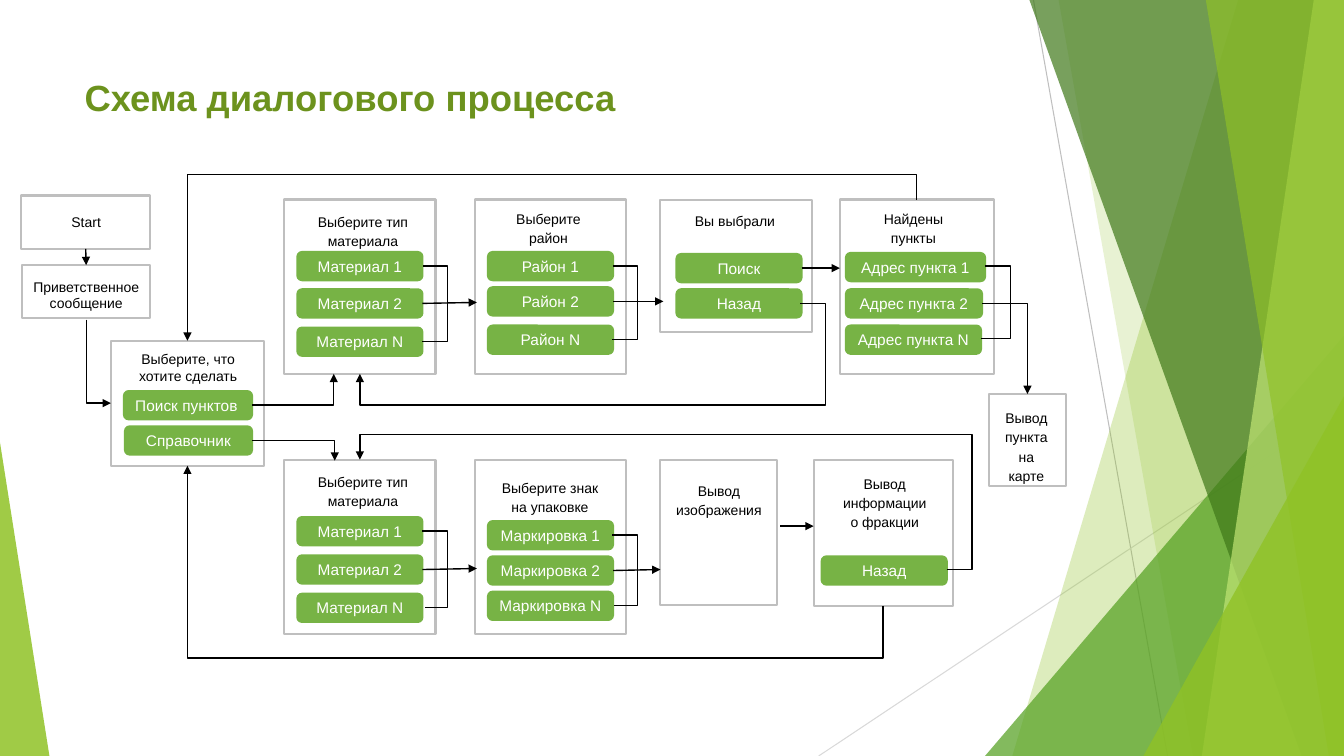
from dataclasses import dataclass

from lxml import etree
from pptx import Presentation
from pptx.dml.color import RGBColor
from pptx.enum.shapes import MSO_CONNECTOR, MSO_SHAPE
from pptx.enum.text import MSO_ANCHOR, PP_ALIGN
from pptx.oxml.ns import qn
from pptx.util import Inches, Pt

RECTANGLE, PILL = MSO_SHAPE.RECTANGLE, MSO_SHAPE.ROUNDED_RECTANGLE
TRIANGLE = MSO_SHAPE.ISOSCELES_TRIANGLE
STRAIGHT, ELBOW = MSO_CONNECTOR.STRAIGHT, MSO_CONNECTOR.ELBOW
LEFT, CENTER, MIDDLE = PP_ALIGN.LEFT, PP_ALIGN.CENTER, MSO_ANCHOR.MIDDLE
TOP_SIDE, BOTTOM_SIDE, RIGHT_SIDE = 0, 2, 3

BLACK = RGBColor(0x00, 0x00, 0x00)
WHITE = RGBColor(0xFF, 0xFF, 0xFF)
GRAY = RGBColor(0xBF, 0xBF, 0xBF)
PALE_GRAY = RGBColor(0xD9, 0xD9, 0xD9)
BUTTON_GREEN = RGBColor(0x77, 0xB3, 0x45)
TITLE_GREEN = RGBColor(0x6C, 0x92, 0x1D)
LIME = RGBColor(0x90, 0xC2, 0x26)
LEAF = RGBColor(0x54, 0xA0, 0x21)
FOREST = RGBColor(0x3F, 0x78, 0x19)
LIGHT_LIME = RGBColor(0xC0, 0xE4, 0x74)

FONT = "Arial"
WIDTH, HEIGHT = 13.33, 7.5
BUTTON_HEIGHT = 0.28
Point = tuple[float, float]
Box = tuple[float, float, float, float]


@dataclass(frozen=True)
class Band:
    """A slanted stripe that runs to the right edge of the slide."""
    top: float
    bottom: float
    color: RGBColor
    opacity: int


@dataclass(frozen=True)
class Corner:
    box: Box
    apex: float
    color: RGBColor
    opacity: int


@dataclass(frozen=True)
class Button:
    label: str
    left: float
    top: float
    width: float = 1.24


@dataclass(frozen=True)
class Step:
    """A framed dialog step; the caption has its own place inside the frame."""
    name: str
    frame: Box
    caption: str
    caption_box: Box
    buttons: tuple[Button, ...] = ()
    line_spacing: float = 1.15


@dataclass(frozen=True)
class Route:
    points: tuple[Point, ...]
    arrow: bool = True


def column(left: float, tops: tuple[float, ...], labels: tuple[str, ...]) -> tuple[Button, ...]:
    return tuple(Button(label, left, top) for label, top in zip(labels, tops))


MATERIALS = ("Материал 1", "Материал 2", "Материал N")

BACK_DECOR = (
    Band(12.28, 10.04, LIME, 30),
    Band(10.5, 11.83, LIME, 20),
    Corner((9.77, 3.33, 3.56, 4.17), 1, LEAF, 72),
    Band(10.21, 12.91, FOREST, 70),
    Band(13.03, 11.92, LIGHT_LIME, 70),
    Band(11.96, 13.18, LIME, 65),
    Corner((11.34, 3.93, 1.99, 3.57), 1, LIME, 80),
    Corner((0, 4.39, 0.49, 3.11), 0, LIME, 85),
)

STEPS = (
    Step("start", (0.21, 1.94, 1.28, 0.53), "Start", (0.22, 2.07, 1.27, 0.33), (), 1),
    Step("greeting", (0.22, 2.63, 1.27, 0.53), "Приветственное сообщение",
         (0.22, 2.71, 1.27, 0.45), (), 1),
    Step("menu", (1.1, 3.38, 1.52, 1.24), "Выберите, что хотите сделать", (1.22, 3.43, 1.29, 0.45),
         (Button("Поиск пунктов", 1.23, 3.88, 1.27), Button("Справочник", 1.24, 4.23, 1.26)), 1),
    Step("search material", (2.82, 1.98, 1.5, 1.73), "Выберите тип материала",
         (3.02, 2.04, 1.16, 0.45), column(2.95, (2.5, 2.87, 3.25), MATERIALS)),
    Step("district", (4.71, 1.98, 1.5, 1.73), "Выберите район", (4.86, 2.01, 1.16, 0.45),
         column(4.84, (2.5, 2.85, 3.23), ("Район 1", "Район 2", "Район N"))),
    Step("choice", (6.55, 1.98, 1.5, 1.31), "Вы выбрали", (6.71, 2.03, 1.16, 0.35),
         column(6.71, (2.52, 2.87), ("Поиск", "Назад"))),
    Step("found", (8.33, 1.98, 1.53, 1.73), "Найдены пункты", (8.48, 2.01, 1.16, 0.46),
         (Button("Адрес пункта 1", 8.39, 2.51, 1.38), Button("Адрес пункта 2", 8.39, 2.87, 1.35),
          Button("Адрес пункта N", 8.39, 3.23, 1.34))),
    Step("map", (9.81, 3.91, 0.76, 0.91), "Вывод\vпункта\vна\vкарте", (9.8, 3.99, 0.76, 0.66)),
    Step("guide material", (2.82, 4.56, 1.5, 1.73), "Выберите тип материала",
         (3.02, 4.62, 1.16, 0.45), column(2.95, (5.13, 5.51, 5.89), MATERIALS)),
    Step("marking", (4.71, 4.56, 1.5, 1.73), "Выберите знак на упаковке", (4.81, 4.68, 1.29, 0.48),
         column(4.84, (5.17, 5.52, 5.87), ("Маркировка 1", "Маркировка 2", "Маркировка N"))),
    Step("image", (6.55, 4.56, 1.16, 1.44), "Вывод изображения", (6.6, 4.71, 1.06, 0.48)),
    Step("fraction", (8.07, 4.56, 1.38, 1.45), "Вывод информации о фракции",
         (8.21, 4.64, 1.13, 0.65), (Button("Назад", 8.15, 5.52),)),
)

BUTTON_ARROWS = (
    ("search material", "Материал 2", (4.73, 3)),
    ("district", "Район 2", (6.58, 2.99)),
    ("choice", "Поиск", (8.33, 2.66)),
    ("guide material", "Материал 2", (4.73, 5.64)),
    ("marking", "Маркировка 2", (6.55, 5.65)),
)

ROUTES = (
    Route(((0.86, 3.17), (0.86, 4), (1.1, 4))),
    Route(((2.5, 4.02), (3.31, 4.02), (3.31, 3.71))),
    Route(((2.5, 4.37), (3.32, 4.37), (3.32, 4.57))),
    Route(((9.74, 3.01), (10.19, 3.01), (10.19, 3.91))),
    Route(((9.09, 1.98), (9.09, 1.73), (1.86, 1.73), (1.86, 3.38))),
    Route(((8.76, 6.01), (8.76, 6.53), (1.86, 6.53), (1.86, 4.62))),
    Route(((7.94, 3.01), (8.19, 3.01), (8.19, 4.02), (3.57, 4.02), (3.57, 3.71))),
    Route(((9.39, 5.65), (9.64, 5.65), (9.64, 4.31), (3.57, 4.31), (3.57, 4.56))),
    Route(((4.2, 2.64), (4.44, 2.64), (4.44, 3.39), (4.19, 3.39)), False),
    Route(((6.08, 2.64), (6.33, 2.64), (6.33, 3.37), (6.07, 3.37)), False),
    Route(((9.77, 2.64), (10.02, 2.64), (10.02, 3.36), (9.73, 3.36)), False),
    Route(((4.19, 5.27), (4.44, 5.27), (4.44, 6.03), (4.21, 6.03)), False),
    Route(((6.07, 5.31), (6.32, 5.31), (6.32, 6.01), (6.09, 6.01)), False),
)


def add_decor(slide, decor: Band | Corner) -> None:
    if isinstance(decor, Band):
        builder = slide.shapes.build_freeform(Inches(decor.top), 0)
        corners = ((WIDTH, 0), (WIDTH, HEIGHT), (decor.bottom, HEIGHT))
        builder.add_line_segments([(Inches(x), Inches(y)) for x, y in corners])
        shape = builder.convert_to_shape()
    else:
        shape = slide.shapes.add_shape(TRIANGLE, *map(Inches, decor.box))
        shape.adjustments[0] = decor.apex
    shape.shadow.inherit = False
    shape.line.fill.background()
    shape.fill.solid()
    shape.fill.fore_color.rgb = decor.color
    color = shape.element.spPr.find(qn("a:solidFill"))[0]
    etree.SubElement(color, qn("a:alpha"), val=str(decor.opacity * 1000))


def write(shape, text: str, size: float, color: RGBColor, align=CENTER, bold: bool = False):
    shape.text_frame.word_wrap = True
    paragraph = shape.text_frame.paragraphs[0]
    paragraph.text = text
    paragraph.alignment = align
    for run in paragraph.runs:
        run.font.name, run.font.size = FONT, Pt(size)
        run.font.color.rgb, run.font.bold = color, bold
    return paragraph


def add_outlined(slide, preset, box: Box, line_color: RGBColor):
    shape = slide.shapes.add_shape(preset, *map(Inches, box))
    shape.shadow.inherit = False
    shape.fill.background()
    shape.line.color.rgb = line_color
    shape.line.width = Pt(1.5)
    return shape


def add_button(slide, button: Button):
    shape = add_outlined(slide, PILL, (button.left, button.top, button.width, BUTTON_HEIGHT),
                         BUTTON_GREEN)
    shape.fill.solid()
    shape.fill.fore_color.rgb = BUTTON_GREEN
    shape.text_frame.vertical_anchor = MIDDLE
    write(shape, button.label, 11, WHITE, LEFT if button.label == "Поиск пунктов" else CENTER)
    return shape


def add_line(slide, kind, start: Point, end: Point, color: RGBColor = BLACK,
             width: float = 1, arrow: bool = True):
    line = slide.shapes.add_connector(kind, *map(Inches, (*start, *end)))
    line.line.color.rgb = color
    line.line.width = Pt(width)
    properties = line.element.spPr
    if arrow:
        etree.SubElement(properties.find(qn("a:ln")), qn("a:tailEnd"), type="triangle")
    etree.SubElement(properties, qn("a:effectLst"))
    return line


def add_route(slide, route: Route) -> None:
    """Draw a bent connector; one that leaves vertically is a turned horizontal one."""
    (x0, y0), first, *_, (x1, y1) = route.points
    dx, dy = x1 - x0, y1 - y0
    start, end, turn = (x0, y0), (x1, y1), 0
    ratios = [(first[0] - x0) / dx, (route.points[2][1] - y0) / dy]
    if first[0] == x0:
        middle_x, middle_y = (x0 + x1) / 2, (y0 + y1) / 2
        rise = dx / 2 if dy > 0 else -dx / 2
        start = (middle_x + abs(dy) / 2, middle_y - rise)
        end = (middle_x - abs(dy) / 2, middle_y + rise)
        turn = 270 if dy > 0 else 90
        ratios = [(first[1] - y0) / dy]
    bends = len(route.points) - 1
    properties = add_line(slide, ELBOW, start, end, arrow=route.arrow).element.spPr
    if turn:
        properties.find(qn("a:xfrm")).set("rot", str(turn * 60000))
    geometry = properties.find(qn("a:prstGeom"))
    geometry.set("prst", f"bentConnector{bends}")
    for number, ratio in enumerate(ratios[:bends - 2], 1):
        name = "adj" if bends == 3 else "adj"
        etree.SubElement(geometry.find(qn("a:avLst")), qn("a:gd"),
                         name=f"{name}{number}", fmla=f"val {round(ratio * 100000)}")


def main() -> None:
    presentation = Presentation()
    presentation.slide_width, presentation.slide_height = Inches(WIDTH), Inches(HEIGHT)
    slide = presentation.slides.add_slide(presentation.slide_layouts[6])

    add_line(slide, STRAIGHT, (10.25, 0), (11.58, HEIGHT), GRAY, 0.75, False)
    add_line(slide, STRAIGHT, (WIDTH, 4.03), (8.12, HEIGHT), PALE_GRAY, 0.75, False)
    for decor in BACK_DECOR:
        add_decor(slide, decor)

    title = slide.shapes.add_textbox(*map(Inches, (0.74, 0.67, 6.54, 0.58)))
    title.text_frame.vertical_anchor = MIDDLE
    write(title, "Схема диалогового процесса", 26, TITLE_GREEN, LEFT, True)

    frames, buttons = {}, {}
    for step in STEPS:
        frames[step.name] = add_outlined(slide, RECTANGLE, step.frame, GRAY)
        caption = slide.shapes.add_textbox(*map(Inches, step.caption_box))
        write(caption, step.caption, 10, BLACK).line_spacing = step.line_spacing
        for button in step.buttons:
            buttons[step.name, button.label] = add_button(slide, button)

    greeting_arrow = add_line(slide, STRAIGHT, (0.85, 2.47), (0.86, 2.63))
    greeting_arrow.begin_connect(frames["start"], BOTTOM_SIDE)
    greeting_arrow.end_connect(frames["greeting"], TOP_SIDE)
    for step_name, label, target in BUTTON_ARROWS:
        arrow = add_line(slide, STRAIGHT, target, target)
        arrow.begin_connect(buttons[step_name, label], RIGHT_SIDE)
    add_line(slide, STRAIGHT, (7.74, 5.22), (8.07, 5.22))
    for route in ROUTES:
        add_route(slide, route)

    presentation.save("out.pptx")


if __name__ == "__main__":
    main()
